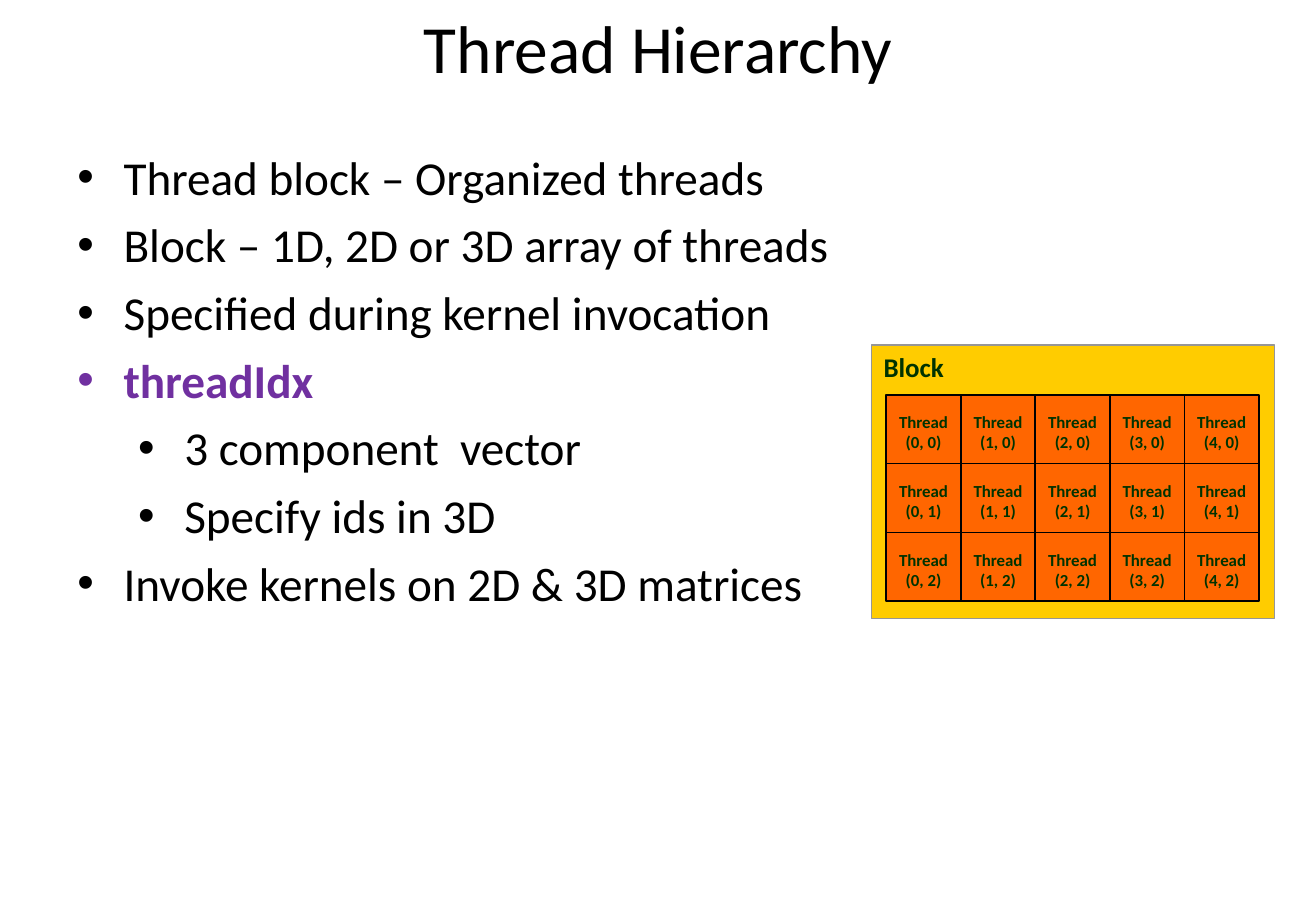
"""Build the Thread Hierarchy slide with its bullets and a 5 by 3 thread block."""
from dataclasses import dataclass
from lxml.etree import SubElement
from pptx import Presentation
from pptx.dml.color import RGBColor as RGB
from pptx.enum.shapes import MSO_CONNECTOR as LINE, MSO_SHAPE as SHAPE
from pptx.enum.text import MSO_ANCHOR as ANCHOR, PP_ALIGN as ALIGN
from pptx.oxml.ns import qn
from pptx.util import Inches, Pt


@dataclass(frozen=True)
class Theme:
    font: str = "Calibri"
    ink: str = "000000"
    accent: str = "7030A0"
    label: str = "003300"
    block: str = "FFCC00"
    block_edge: str = "969696"
    threads: str = "FF6600"
    title_size: float = 40
    bullet_size: float = 28
    block_size: float = 16
    thread_size: float = 10
    bullet_gap: float = 6.5


def style(paragraph, size, color, bold=False, align=ALIGN.LEFT):
    paragraph.alignment = align
    for run in paragraph.runs:
        run.font.name = theme.font
        run.font.size = Pt(size)
        run.font.bold = bold
        run.font.color.rgb = RGB.from_string(color)


def panel(left, top, width, height, fill, edge, weight):
    rect = diagram.shapes.add_shape(
        SHAPE.RECTANGLE, Inches(left), Inches(top), Inches(width), Inches(height))
    rect.shadow.inherit = False
    rect.fill.solid()
    rect.fill.fore_color.rgb = RGB.from_string(fill)
    rect.line.color.rgb = RGB.from_string(edge)
    rect.line.width = Pt(weight)
    return rect


theme = Theme()
deck = Presentation()
deck.slide_width, deck.slide_height = Inches(10.84), Inches(7.5)
slide = deck.slides.add_slide(deck.slide_layouts[5])

columns, rows = 5, 3
grid_left, grid_top, grid_width, grid_height = 7.3, 3.25, 3.07, 1.7
cell_width, cell_height = grid_width / columns, grid_height / rows
grid_right, grid_bottom = grid_left + grid_width, grid_top + grid_height
label_width, label_height, label_drop = 0.44, 0.29, 0.14

diagram = slide.shapes.add_group_shape()
block = panel(7.18, 2.84, 3.32, 2.25, theme.block, theme.block_edge, 0.75)
block.text_frame.text = "Block"
block.text_frame.vertical_anchor = ANCHOR.TOP
style(block.text_frame.paragraphs[0], theme.block_size, theme.label, bold=True)
panel(grid_left, grid_top, grid_width, grid_height, theme.threads, theme.ink, 1)

column_edges = [grid_left + cell_width * column for column in range(1, columns)]
row_edges = [grid_top + cell_height * row for row in range(1, rows)]
dividers = [(x, grid_top, x, grid_bottom) for x in column_edges]
dividers += [(grid_left, y, grid_right, y) for y in row_edges]
for ends in dividers:
    divider = diagram.shapes.add_connector(LINE.STRAIGHT, *map(Inches, ends))
    divider.line.color.rgb = RGB.from_string(theme.ink)
    divider.line.width = Pt(1)
    SubElement(divider._element.spPr, qn("a:effectLst"))

for row in range(rows):
    for column in range(columns):
        thread = diagram.shapes.add_textbox(
            Inches(grid_left + cell_width * column + (cell_width - label_width) / 2),
            Inches(grid_top + cell_height * row + label_drop),
            Inches(label_width), Inches(label_height))
        frame = thread.text_frame
        frame.word_wrap = False
        frame.margin_left = frame.margin_right = frame.margin_top = frame.margin_bottom = 0
        frame.text = f"Thread\n({column}, {row})"
        for paragraph in frame.paragraphs:
            style(paragraph, theme.thread_size, theme.label, bold=True, align=ALIGN.CENTER)

title = slide.shapes.title
title.left, title.top, title.width, title.height = 0, 0, deck.slide_width, Inches(0.92)
title.text_frame.text = "Thread Hierarchy"
title.text_frame.vertical_anchor = ANCHOR.TOP
style(title.text_frame.paragraphs[0], theme.title_size, theme.ink, align=ALIGN.CENTER)

bullets = [
    ("Thread block – Organized threads", 0, False),
    ("Block – 1D, 2D or 3D array of threads", 0, False),
    ("Specified during kernel invocation", 0, False),
    ("threadIdx", 0, True),
    ("3 component  vector", 1, False),
    ("Specify ids in 3D", 1, False),
    ("Invoke kernels on 2D & 3D matrices", 0, False),
]
body = slide.shapes.add_textbox(Inches(0.54), Inches(1.17), Inches(6.46), Inches(5.53)).text_frame
body.word_wrap = True
body.text = "\n".join(text for text, level, key in bullets)
for paragraph, (text, level, key) in zip(body.paragraphs, bullets):
    color = theme.accent if key else theme.ink
    style(paragraph, theme.bullet_size, color, bold=key)
    paragraph.level = level
    paragraph.space_before = Pt(theme.bullet_gap)
    properties = paragraph._p.get_or_add_pPr()
    properties.set("marL", str(Inches(0.38 + 0.5 * level)))
    properties.set("indent", str(Inches(-0.38)))
    SubElement(SubElement(properties, qn("a:buClr")), qn("a:srgbClr")).set("val", color)
    SubElement(properties, qn("a:buFont")).set("typeface", "Arial")
    SubElement(properties, qn("a:buChar")).set("char", "•")

deck.save("out.pptx")
